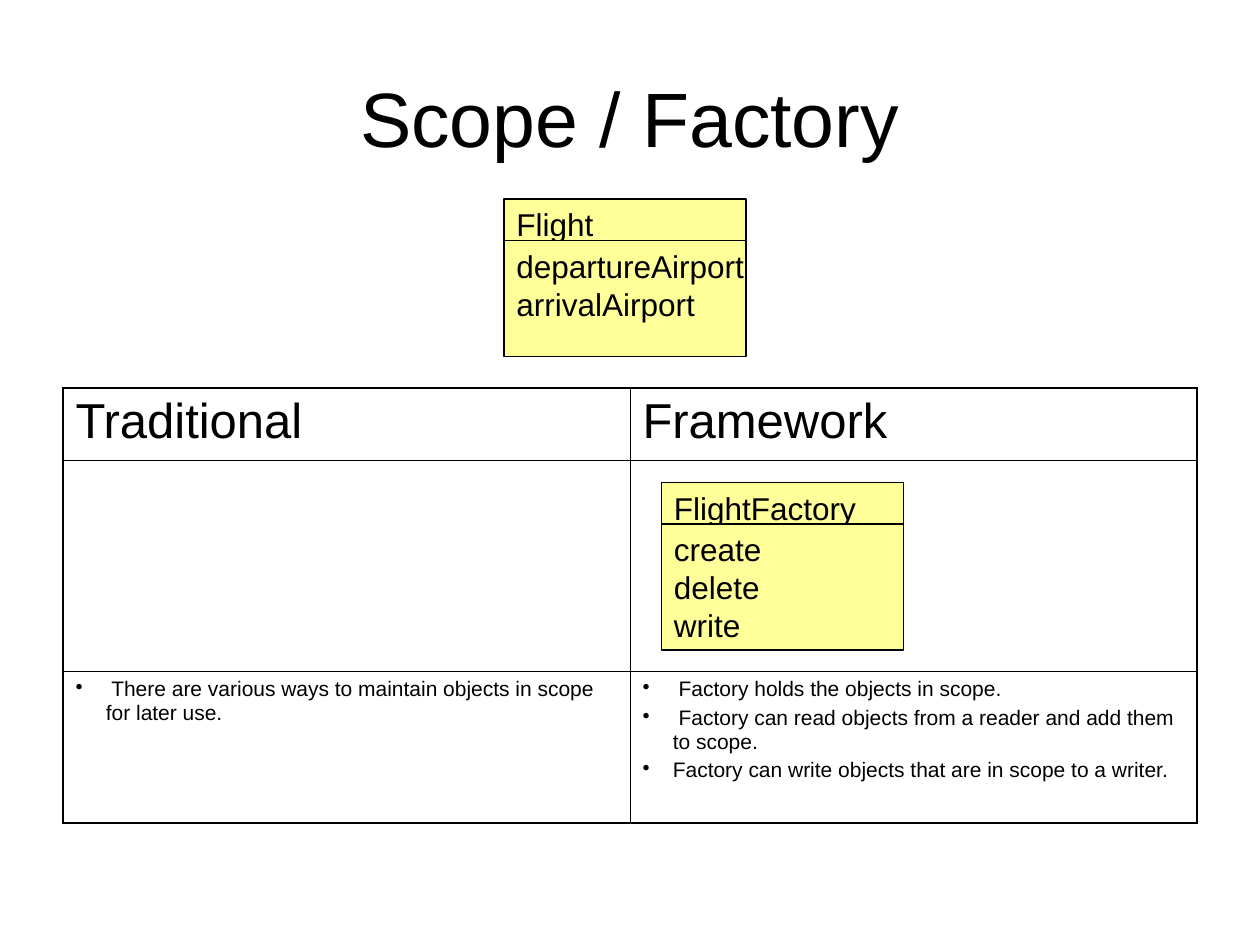
from dataclasses import dataclass

from pptx import Presentation
from pptx import util as u
from pptx.dml.color import RGBColor
from pptx.enum import shapes, text
from pptx.oxml import parse_xml
from pptx.oxml.ns import nsdecls


@dataclass(frozen=True)
class Theme:
    """Colours, font and sizes of the slide."""
    font: str = "Arial"
    ink: str = "000000"
    note: str = "FFFF99"
    title: int = 44
    heading: int = 28
    code: int = 18
    body: int = 12
    outline: float = 0.75
    inner: float = 0.45
    outer: float = 1.08


T = Theme()


def write(tf, lines, size, align=text.PP_ALIGN.LEFT, before=0, bullet=False):
    """Fill a text frame with one paragraph per line."""
    for i, line in enumerate(lines):
        p = tf.paragraphs[0] if i == 0 else tf.add_paragraph()
        p.alignment = align
        p.space_before = u.Pt(before)
        r = p.add_run()
        r.text = line
        r.font.size = u.Pt(size)
        r.font.name = T.font
        r.font.color.rgb = RGBColor.from_string(T.ink)
        if bullet:
            pPr = p._p.get_or_add_pPr()
            pPr.set("marL", str(u.Inches(0.24)))
            pPr.set("indent", str(u.Inches(-0.24)))
            pPr.append(parse_xml(f'<a:buChar {nsdecls("a")} char="•"/>'))


def add_title(s, x, y, w, h, title):
    """Place the centred slide title."""
    tf = s.shapes.add_textbox(*map(u.Inches, (x, y, w, h))).text_frame
    tf.word_wrap = True
    tf.vertical_anchor = text.MSO_ANCHOR.MIDDLE
    write(tf, [title], T.title, align=text.PP_ALIGN.CENTER)


def add_class_box(s, x, y, w, h, name, members):
    """Place a class diagram box: a name band above a list of members."""
    band = 0.33
    for top, height, lines in ((y, band, [name]), (y + band, h - band, members)):
        sp = s.shapes.add_shape(shapes.MSO_SHAPE.RECTANGLE,
                                *map(u.Inches, (x, top, w, height)))
        sp.shadow.inherit = False
        sp.fill.solid()
        sp.fill.fore_color.rgb = RGBColor.from_string(T.note)
        sp.line.color.rgb = RGBColor.from_string(T.ink)
        sp.line.width = u.Pt(T.outline)
        tf = sp.text_frame
        tf.word_wrap = False
        tf.vertical_anchor = text.MSO_ANCHOR.TOP
        write(tf, lines, T.code)


def set_borders(cell, **widths):
    """Draw the cell borders, given as L, R, T and B widths in points."""
    tcPr = cell._tc.get_or_add_tcPr()
    for side, width in widths.items():
        tcPr.append(parse_xml(
            f'<a:ln{side} {nsdecls("a")} w="{u.Pt(width)}"><a:solidFill>'
            f'<a:srgbClr val="{T.ink}"/></a:solidFill></a:ln{side}>'))


def add_comparison(s, x, y, w, row_heights, headings, points):
    """Place the table: headings, a row for diagrams, and bullet points."""
    rows, cols = len(row_heights), len(headings)
    table = s.shapes.add_table(
        rows, cols, *map(u.Inches, (x, y, w, sum(row_heights)))).table
    table.first_row = table.horz_banding = False
    for row, height in zip(table.rows, row_heights):
        row.height = u.Inches(height)
    for i in range(rows):
        for j in range(cols):
            cell = table.cell(i, j)
            set_borders(cell,
                        L=T.outer if j == 0 else T.inner,
                        R=T.outer if j == cols - 1 else T.inner,
                        T=T.outer if i == 0 else T.inner,
                        B=T.outer if i == rows - 1 else T.inner)
            cell.fill.background()
    for j, (heading, lines) in enumerate(zip(headings, points)):
        write(table.cell(0, j).text_frame, [heading], T.heading, before=7)
        write(table.cell(rows - 1, j).text_frame, lines, T.body,
              before=3, bullet=True)


def main():
    """Build and save the slide."""
    prs = Presentation()
    prs.slide_width, prs.slide_height = u.Inches(10), u.Inches(7.5)
    s = prs.slides.add_slide(prs.slide_layouts[6])
    add_title(s, 0.5, 0.3, 9, 1.25, "Scope / Factory")
    add_class_box(s, 4, 1.58, 1.92, 1.25, "Flight",
                  ["departureAirport", "arrivalAirport"])
    add_class_box(s, 5.25, 3.83, 1.92, 1.33, "FlightFactory",
                  ["create", "delete", "write"])
    add_comparison(
        s, 0.5, 3.08, 9, (0.57, 1.68, 1.2), ("Traditional", "Framework"),
        ([" There are various ways to maintain objects in scope for later use."],
         [" Factory holds the objects in scope.",
          " Factory can read objects from a reader and add them to scope.",
          "Factory can write objects that are in scope to a writer."]))
    prs.save("out.pptx")


if __name__ == "__main__":
    main()
